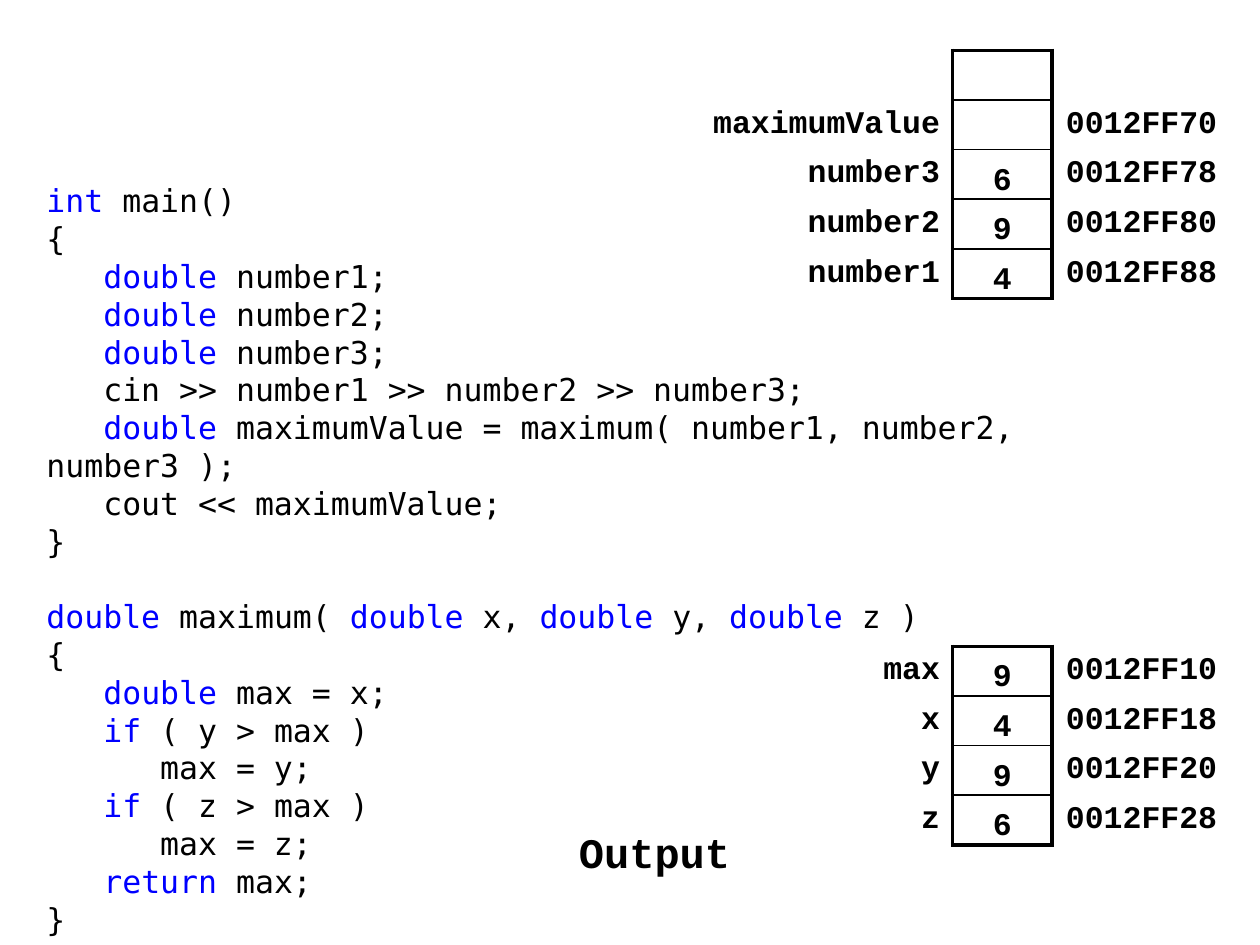
import pptx
import pptx.util
import pptx.dml.color
import pptx.enum.text
import pptx.oxml
import pptx.oxml.ns

Inches = pptx.util.Inches
Pt = pptx.util.Pt
align = pptx.enum.text.PP_ALIGN
middle = pptx.enum.text.MSO_ANCHOR.MIDDLE
MONO, BOLD = "DejaVu Sans Mono", "Courier New"


def style(run, size, face, color="000000"):
    run.font.size = Pt(size)
    run.font.name = face
    run.font.bold = face == BOLD
    run.font.color.rgb = pptx.dml.color.RGBColor.from_string(color)


def border(cell, side, width):
    fill = '<a:solidFill><a:srgbClr val="000000"/></a:solidFill>' if width else "<a:noFill/>"
    cell._tc.get_or_add_tcPr().append(pptx.oxml.parse_xml(
        f'<a:ln{side} {pptx.oxml.ns.nsdecls("a")} w="{int(Pt(width))}">{fill}</a:ln{side}>'))


deck = pptx.Presentation()
deck.slide_width, deck.slide_height = Inches(10), Inches(7.5)
slide = deck.slides.add_slide(deck.slide_layouts[6])

# Source code; keywords stand between tildes
main = """~int~ main()
{
   ~double~ number1;
   ~double~ number2;
   ~double~ number3;
   cin >> number1 >> number2 >> number3;
   ~double ~maximumValue = maximum( number1, number2, number3 );
   cout << maximumValue;
}"""
helper = """~double~ maximum( ~double~ x, ~double~ y, ~double~ z )
{
   ~double~ max = x;
   ~if~ ( y > max )
      max = y;
   ~if~ ( z > max )
      max = z;
   ~return~ max;
}"""
pitch = Pt(21.6)
frame = slide.shapes.add_textbox(Inches(0.27), Inches(1.39), Inches(9.45), Inches(5.91)).text_frame
frame.word_wrap = True
par = frame.paragraphs[0]
for block in (main, helper):
    for row, line in enumerate(block.split("\n")):
        if block == helper or row:
            par = frame.add_paragraph()
        par.line_spacing = pitch
        par.space_before = pitch if block == helper and row == 0 else Pt(0)
        for part, text in enumerate(line.split("~")):
            if text:
                run = par.add_run()
                run.text = text
                style(run, 18, MONO, "0000FF" if part % 2 else "000000")

# Memory tables: left, top, label width, rows of name, value, address
stacks = [
    (5.59, 0.4, 1.97, [("", "", ""),
                       ("maximumValue", "", "0012FF70"),
                       ("number3", "6", "0012FF78"),
                       ("number2", "9", "0012FF80"),
                       ("number1", "4", "0012FF88")]),
    (6.77, 5.13, 0.79, [("max", "9", "0012FF10"),
                        ("x", "4", "0012FF18"),
                        ("y", "9", "0012FF20"),
                        ("z", "6", "0012FF28")]),
]
step = 1.97 / 5
for left, top, wide, rows in stacks:
    widths = (wide, 0.79, 1.38)
    table = slide.shapes.add_table(len(rows), 3, Inches(left), Inches(top),
                                   Inches(sum(widths)), Inches(step * len(rows))).table
    table.first_row = table.horz_banding = False
    for col, width in enumerate(widths):
        table.columns[col].width = Inches(width)
    for row, (name, value, address) in enumerate(rows):
        table.rows[row].height = Inches(step)
        for col, text in enumerate((name, "", address)):
            cell = table.cell(row, col)
            mid = col == 1
            edges = {"L": 2.25 if col else 0,
                     "R": 2.25 if col < 2 else 0,
                     "T": (1 if row else 2.25) if mid else 0,
                     "B": (1 if row < len(rows) - 1 else 2.25) if mid else 0}
            for side, width in edges.items():
                border(cell, side, width)
            cell.fill.background()
            cell.vertical_anchor = middle
            cell.margin_top = cell.margin_bottom = Inches(0.04)
            cell.margin_left = Inches(0.1 if col else 0.06)
            cell.margin_right = Inches(0.06 if col else 0.1)
            par = cell.text_frame.paragraphs[0]
            par.text = text
            par.alignment = align.CENTER if col else align.RIGHT
            par.font.size = Pt(18 if text else 12)
            for run in par.runs:
                style(run, 18, BOLD)

    # Values over the middle column
    for row, (name, value, address) in enumerate(rows):
        if value:
            box = slide.shapes.add_textbox(Inches(7.76), Inches(top + row * step),
                                           Inches(0.39), Inches(step))
            frame = box.text_frame
            frame.word_wrap = True
            frame.vertical_anchor = middle
            frame.margin_top, frame.margin_bottom = Inches(0.08), Inches(0.03)
            frame.text = value
            frame.paragraphs[0].alignment = align.CENTER
            style(frame.paragraphs[0].runs[0], 18, BOLD)

# Output heading
frame = slide.shapes.add_textbox(Inches(4.41), Inches(6.51), Inches(1.57), Inches(0.59)).text_frame
frame.word_wrap = True
frame.text = "Output"
frame.paragraphs[0].alignment = align.CENTER
style(frame.paragraphs[0].runs[0], 24, BOLD)

deck.save("out.pptx")
